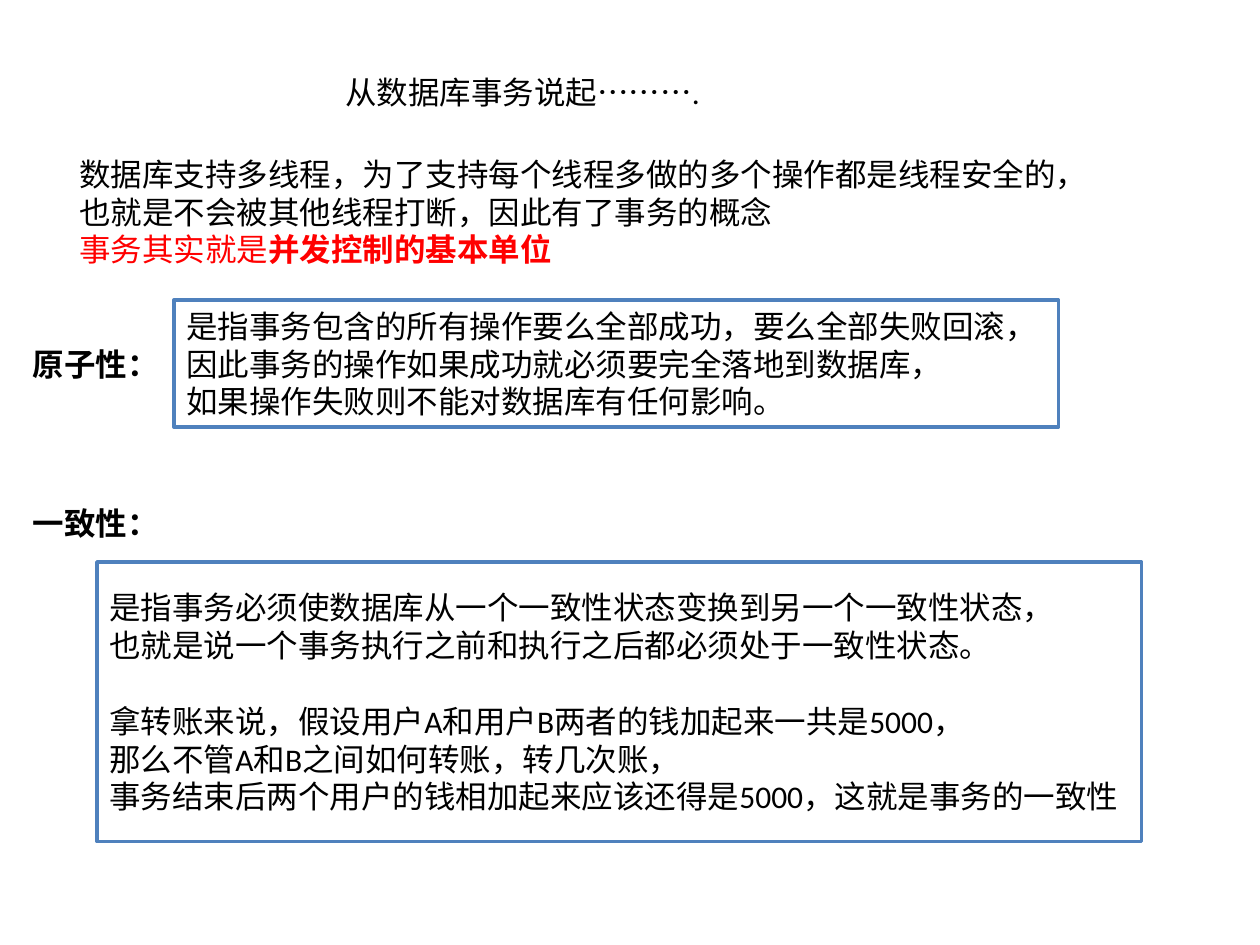
"""Build a slide that introduces database transactions, atomicity and consistency."""
from dataclasses import dataclass

import pptx
import pptx.dml.color
import pptx.enum.shapes
import pptx.enum.text
import pptx.util

WIDTH, HEIGHT = 10, 7.5
BLACK, RED, WHITE, BLUE = "000000", "FF0000", "FFFFFF", "4F81BD"
TITLE_ONLY = 5


@dataclass
class Line:
    """One paragraph: regular text, then an optional bold ending."""
    text: str = ""
    bold_text: str = ""
    color: str = BLACK
    space_before: float = 0


@dataclass
class Block:
    """A text block placed by shares of the slide's size."""
    left: float
    top: float
    width: float
    height: float
    lines: list[Line]
    framed: bool = False
    wrap: bool = False


TITLE = Block(0.264, 0.07, 0.354, 0.053, [Line("从数据库事务说起……….")], wrap=True)

BLOCKS = [
    Block(0.053, 0.157, 0.828, 0.135, [
        Line("数据库支持多线程，为了支持每个线程多做的多个操作都是线程安全的，"),
        Line("也就是不会被其他线程打断，因此有了事务的概念"),
        Line("事务其实就是", "并发控制的基本单位", RED),
    ]),
    Block(0.016, 0.359, 0.122, 0.053, [Line(bold_text="原子性：")]),
    Block(0.138, 0.317, 0.702, 0.135, [
        Line("是指事务包含的所有操作要么全部成功，要么全部失败回滚，"),
        Line("因此事务的操作如果成功就必须要完全落地到数据库，"),
        Line("如果操作失败则不能对数据库有任何影响。"),
    ], framed=True),
    Block(0.016, 0.527, 0.122, 0.053, [Line(bold_text="一致性：")]),
    Block(0.077, 0.595, 0.829, 0.296, [
        Line("是指事务必须使数据库从一个一致性状态变换到另一个一致性状态，"),
        Line("也就是说一个事务执行之前和执行之后都必须处于一致性状态。"),
        Line("拿转账来说，假设用户A和用户B两者的钱加起来一共是5000，", space_before=21.6),
        Line("那么不管A和B之间如何转账，转几次账，"),
        Line("事务结束后两个用户的钱相加起来应该还得是5000，这就是事务的一致性"),
    ], framed=True, wrap=True),
]


def rgb(color: str) -> pptx.dml.color.RGBColor:
    """Turn a hex string into a colour."""
    return pptx.dml.color.RGBColor.from_string(color)


def bounds(block: Block) -> list[int]:
    """Return left, top, width and height of a block as lengths."""
    return [pptx.util.Inches(round(share * size, 2)) for share, size in (
        (block.left, WIDTH), (block.top, HEIGHT),
        (block.width, WIDTH), (block.height, HEIGHT))]


def write_lines(shape, block: Block) -> None:
    """Write the lines of a block into a shape."""
    frame = shape.text_frame
    frame.word_wrap = block.wrap
    frame.auto_size = pptx.enum.text.MSO_AUTO_SIZE.SHAPE_TO_FIT_TEXT
    anchors = pptx.enum.text.MSO_ANCHOR
    frame.vertical_anchor = anchors.MIDDLE if block.framed else anchors.TOP
    for index, line in enumerate(block.lines):
        paragraph = frame.add_paragraph() if index else frame.paragraphs[0]
        paragraph.alignment = pptx.enum.text.PP_ALIGN.LEFT
        paragraph.space_before = pptx.util.Pt(line.space_before)
        paragraph.font.size = pptx.util.Pt(18)
        paragraph.font.name = "Calibri"
        paragraph.font.color.rgb = rgb(line.color)
        paragraph.font.bold = not line.text
        for text, bold in ((line.text, False), (line.bold_text, True)):
            if text:
                run = paragraph.add_run()
                run.text = text
                if line.text and line.bold_text:
                    run.font.bold = bold


def add_block(slide, block: Block) -> None:
    """Add a plain text box or a framed rectangle."""
    if block.framed:
        shape = slide.shapes.add_shape(
            pptx.enum.shapes.MSO_SHAPE.RECTANGLE, *bounds(block))
        shape.shadow.inherit = False
        shape.fill.solid()
        shape.fill.fore_color.rgb = rgb(WHITE)
        shape.line.color.rgb = rgb(BLUE)
        shape.line.width = pptx.util.Pt(2)
    else:
        shape = slide.shapes.add_textbox(*bounds(block))
    write_lines(shape, block)


def main() -> None:
    """Build and save the presentation."""
    presentation = pptx.Presentation()
    presentation.slide_width = pptx.util.Inches(WIDTH)
    presentation.slide_height = pptx.util.Inches(HEIGHT)
    slide = presentation.slides.add_slide(presentation.slide_layouts[TITLE_ONLY])
    title = slide.shapes.title
    title.left, title.top, title.width, title.height = bounds(TITLE)
    write_lines(title, TITLE)
    for block in BLOCKS:
        add_block(slide, block)
    presentation.save("out.pptx")


if __name__ == "__main__":
    main()
